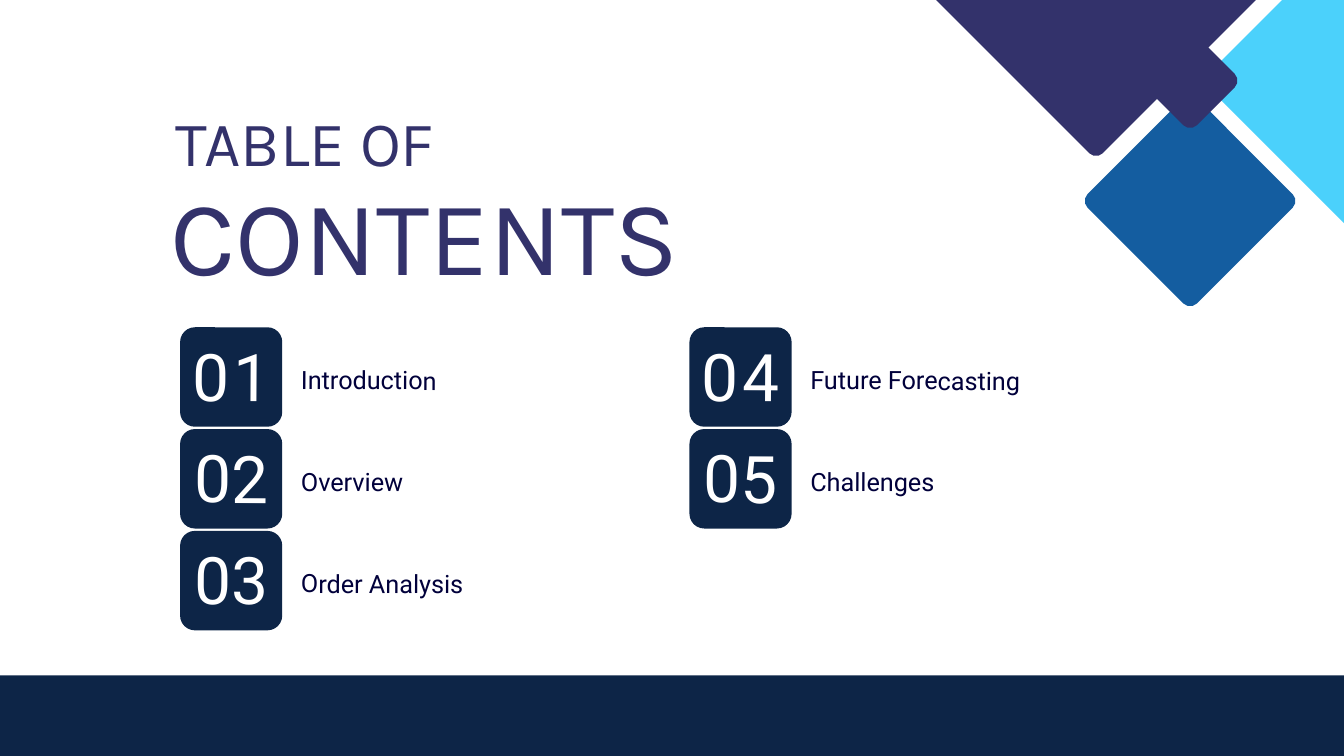
from pptx import Presentation
from pptx.dml.color import RGBColor
from pptx.enum.shapes import MSO_SHAPE as Shape
from pptx.enum.text import MSO_ANCHOR as Anchor, MSO_AUTO_SIZE as AutoSize, PP_ALIGN as Align
from pptx.util import Inches, Pt

NAVY, INDIGO, BLUE, SKY = "0D2547", "33326B", "145DA0", "4BD1FB"
TITLE = {"name": "Karla", "color": INDIGO}
LABEL = {"name": "Roboto", "color": "01003B", "size": 27, "leading": 37.8}
NUMBER = {"name": "Roboto", "color": "FFFFFF", "size": 70.4, "leading": 98.5}
COLUMNS = [
    [("01", "Introduction"), ("02", "Overview"), ("03", "Order Analysis")],
    [("04", "Future Forecasting"), ("05", "Challenges")],
]


def color(hex_string):
    """Turn a hex string into a colour."""
    return RGBColor.from_string(hex_string)


def place(item, box):
    """Set an object's left, top, width and height in inches."""
    for name, value in zip(("left", "top", "width", "height"), box):
        setattr(item, name, Inches(value))


def add_block(page, box, fill, radius=0, rotation=0):
    """Draw a plain rectangle, with rounded corners if a radius is given."""
    kind = Shape.ROUNDED_RECTANGLE if radius else Shape.RECTANGLE
    block = page.shapes.add_shape(kind, *map(Inches, box))
    if radius:
        block.adjustments[0] = radius / min(box[2:])
    block.shadow.inherit = False
    block.fill.solid()
    block.fill.fore_color.rgb = color(fill)
    block.line.fill.background()
    block.rotation = rotation


def write(item, text, style, align=Align.LEFT, rotation=0, tracking=0):
    """Write one styled line of text into a text box or placeholder."""
    frame = item.text_frame
    settings = {
        "margin_left": 0, "margin_top": 0, "margin_right": 0, "margin_bottom": 0,
        "word_wrap": True, "vertical_anchor": Anchor.TOP,
        "auto_size": AutoSize.SHAPE_TO_FIT_TEXT,
    }
    for name, value in settings.items():
        setattr(frame, name, value)
    para = frame.paragraphs[0]
    para.alignment = align
    para.line_spacing = Pt(style["leading"])
    span = para.add_run()
    span.text = text
    for name, value in {"name": style["name"], "size": Pt(style["size"])}.items():
        setattr(span.font, name, value)
    span.font.color.rgb = color(style["color"])
    if tracking:
        span._r.get_or_add_rPr().set("spc", str(tracking))
    item.rotation = rotation


def add_text(page, box, text, style, **options):
    """Add a text box holding one line."""
    write(page.shapes.add_textbox(*map(Inches, box)), text, style, **options)


def add_heading(page, left, top):
    """Place the small lead-in and the large title below it."""
    title = page.shapes.title
    place(title, (left, top + 0.86, 9.12, 2.13))
    write(title, "CONTENTS", {**TITLE, "size": 113.6, "leading": 159.1})
    add_text(page, (left + 0.07, top, 7.27, 1.25), "TABLE OF",
             {**TITLE, "size": 67.8, "leading": 95})


def add_entry(page, left, top, number, label, tracking):
    """Place a numbered tile with its label on the right."""
    add_block(page, (left, top, 1.52, 1.48), NAVY, radius=0.22)
    add_text(page, (left - 0.19, top - 0.07, 1.91, 1.31), number, NUMBER,
             align=Align.CENTER, rotation=0.3, tracking=tracking)
    add_text(page, (left + 1.8, top + 0.49, 5.6, 0.5), label, LABEL, rotation=0.3)


def add_contents(page, left, top):
    """Lay the entries out in columns."""
    for column, entries in enumerate(COLUMNS):
        for row, (number, label) in enumerate(entries):
            add_entry(page, left + 7.58 * column, top + 1.515 * row, number, label,
                      tracking=0 if row else 420)


def add_diamonds(page):
    """Draw the rounded diamonds in the top right corner."""
    diamonds = [
        (17.71, 2.99, 2.3, BLUE),
        (16.31, -1.29, 5.19, INDIGO),
        (21.55, 1.2, 5.19, SKY),
        (17.71, 1.2, 1.08, INDIGO),
    ]
    for center_x, center_y, side, fill in diamonds:
        box = (center_x - side / 2, center_y - side / 2, side, side)
        add_block(page, box, fill, radius=0.14, rotation=45)


def main():
    """Build and save the deck."""
    deck = Presentation()
    deck.slide_width, deck.slide_height = Inches(20), Inches(11.25)
    page = deck.slides.add_slide(deck.slide_layouts.get_by_name("Title Only"))
    add_contents(page, 2.68, 4.87)
    add_heading(page, 2.54, 1.35)
    add_diamonds(page)
    add_block(page, (-2.45, 10.05, 23.67, 2.4), NAVY)
    deck.save("out.pptx")


if __name__ == "__main__":
    main()
